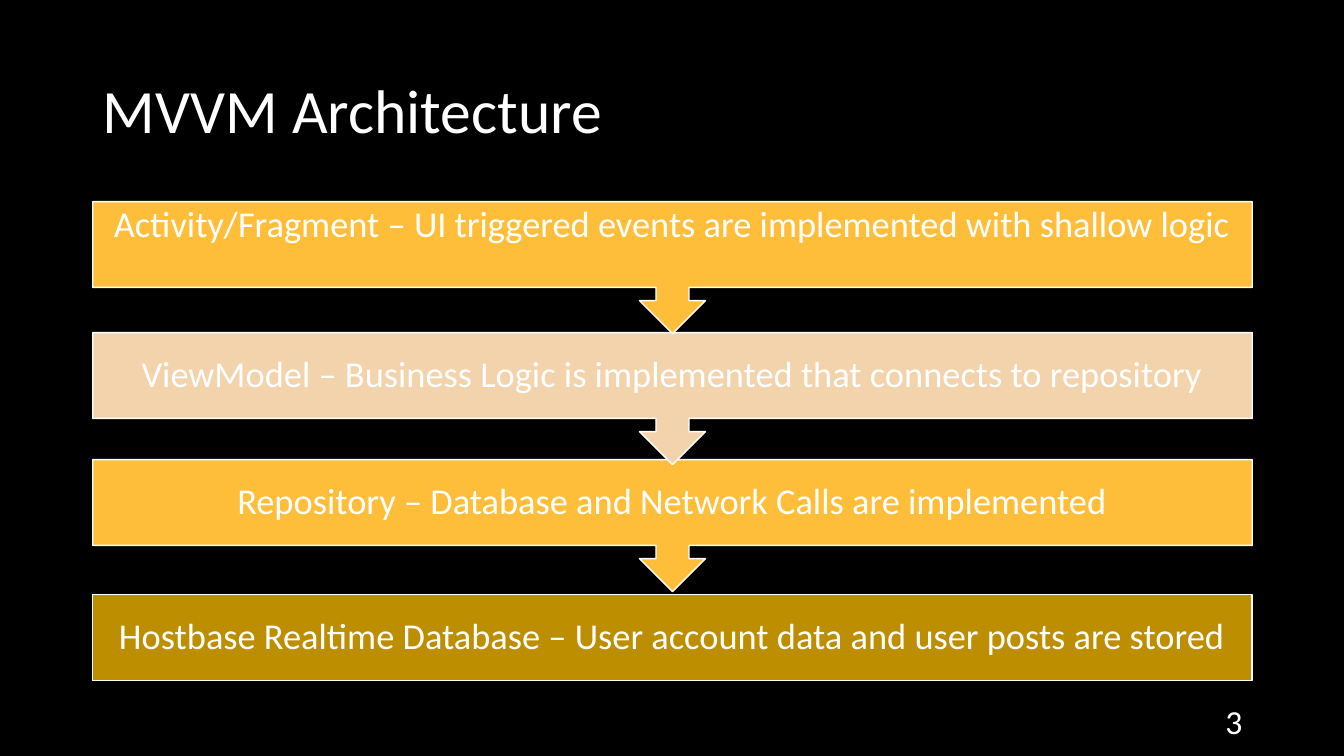
from dataclasses import dataclass

from pptx import Presentation
from pptx.dml.color import RGBColor
from pptx.enum.shapes import MSO_SHAPE
from pptx.enum.text import MSO_ANCHOR, MSO_AUTO_SIZE, PP_ALIGN
from pptx.util import Inches, Pt

RECTANGLE = MSO_SHAPE.RECTANGLE
CALLOUT = MSO_SHAPE.DOWN_ARROW_CALLOUT
TOP, MIDDLE = MSO_ANCHOR.TOP, MSO_ANCHOR.MIDDLE
LEFT, CENTER, RIGHT = PP_ALIGN.LEFT, PP_ALIGN.CENTER, PP_ALIGN.RIGHT
NO_AUTOFIT = MSO_AUTO_SIZE.NONE
TITLE_ONLY = 5


@dataclass(frozen=True)
class Theme:
    font: str = "Calibri"
    background: str = "000000"
    text: str = "FFFFFF"
    amber: str = "FFBE39"
    peach: str = "F3D3AC"
    bronze: str = "BD8E00"
    title_size: int = 44
    layer_size: int = 26
    number_size: int = 24


class SlideBuilder:
    """Draws themed elements on one slide."""

    def __init__(self, slide, theme):
        self.slide = slide
        self.theme = theme
        fill = slide.background.fill
        fill.solid()
        fill.fore_color.rgb = RGBColor.from_string(theme.background)

    def set_text(self, shape, text, size, alignment, anchor=MIDDLE, spacing=0.9):
        frame = shape.text_frame
        frame.text = text
        frame.word_wrap = True
        frame.auto_size = NO_AUTOFIT
        frame.vertical_anchor = anchor
        paragraph = frame.paragraphs[0]
        paragraph.alignment = alignment
        paragraph.line_spacing = spacing
        paragraph.font.name = self.theme.font
        paragraph.font.size = Pt(size)
        paragraph.font.color.rgb = RGBColor.from_string(self.theme.text)

    def title(self, text, left, top, width, height):
        title = self.slide.shapes.title
        title.left, title.top = Inches(left), Inches(top)
        title.width, title.height = Inches(width), Inches(height)
        self.set_text(title, text, self.theme.title_size, LEFT)

    def layer(self, kind, text, color, anchor, left, top, width, height):
        shape = self.slide.shapes.add_shape(
            kind, Inches(left), Inches(top), Inches(width), Inches(height))
        shape.shadow.inherit = False
        shape.fill.solid()
        shape.fill.fore_color.rgb = RGBColor.from_string(color)
        shape.line.color.rgb = RGBColor.from_string(self.theme.text)
        shape.line.width = Pt(1)
        self.set_text(shape, text, self.theme.layer_size, CENTER, anchor)
        frame = shape.text_frame
        frame.margin_left = frame.margin_right = Inches(0.1)
        frame.margin_top = frame.margin_bottom = Inches(0.04)

    def page_number(self, text, left, top, width, height):
        box = self.slide.shapes.add_textbox(
            Inches(left), Inches(top), Inches(width), Inches(height))
        self.set_text(box, text, self.theme.number_size, RIGHT, spacing=1.0)


def main():
    presentation = Presentation()
    presentation.slide_width = Inches(13.33)
    presentation.slide_height = Inches(7.5)
    theme = Theme()
    slide = presentation.slides.add_slide(presentation.slide_layouts[TITLE_ONLY])
    builder = SlideBuilder(slide, theme)
    left, width = 0.92, 11.5

    # Title
    builder.title("MVVM Architecture", left, 0.4, width, 1.45)

    # Architecture layers, bottom first so each arrow tip lies on the next box
    box_height, callout_height = 0.85, 1.31
    layers = [
        (RECTANGLE, "Hostbase Realtime Database – User account data and user posts are stored",
         theme.bronze, MIDDLE, 5.9, box_height),
        (CALLOUT, "Repository – Database and Network Calls are implemented",
         theme.amber, MIDDLE, 4.56, callout_height),
        (CALLOUT, "ViewModel – Business Logic is implemented that connects to repository",
         theme.peach, MIDDLE, 3.3, callout_height),
        (CALLOUT, "Activity/Fragment – UI triggered events are implemented with shallow logic",
         theme.amber, TOP, 2.0, callout_height),
    ]
    for kind, text, color, anchor, top, height in layers:
        builder.layer(kind, text, color, anchor, left, top, width, height)

    # Slide number
    builder.page_number("3", 9.42, 6.95, 3, 0.4)

    presentation.save("out.pptx")


if __name__ == "__main__":
    main()
